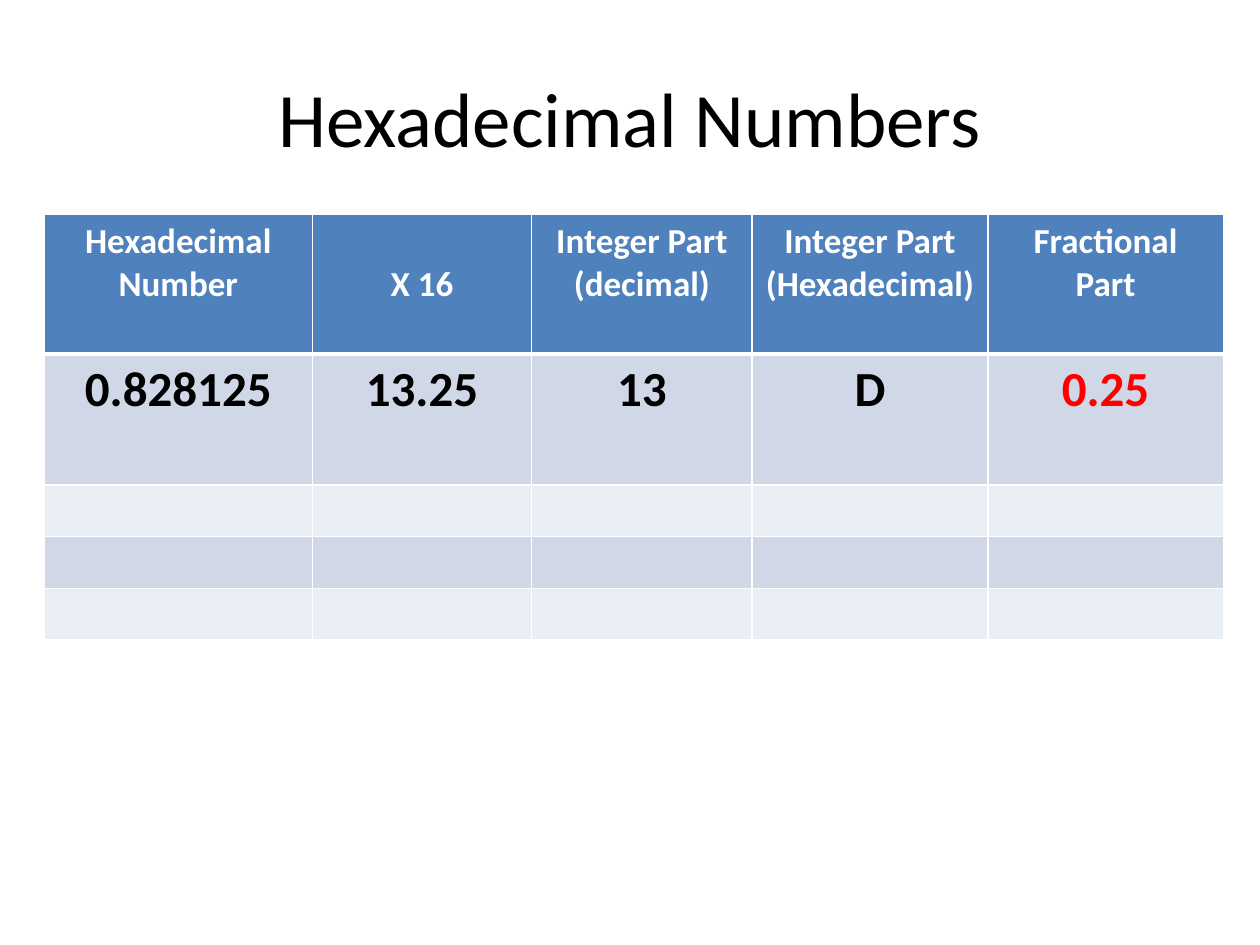
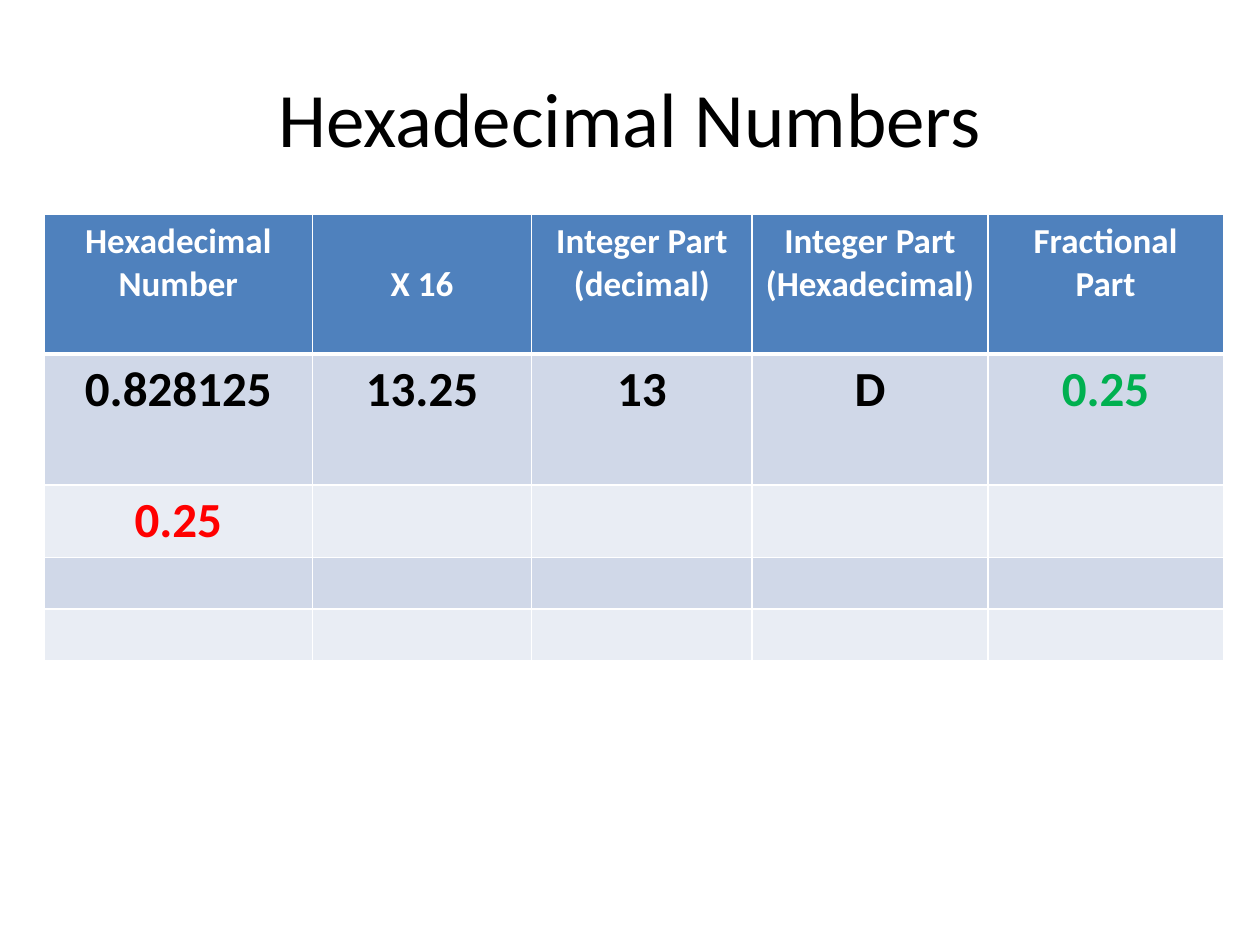
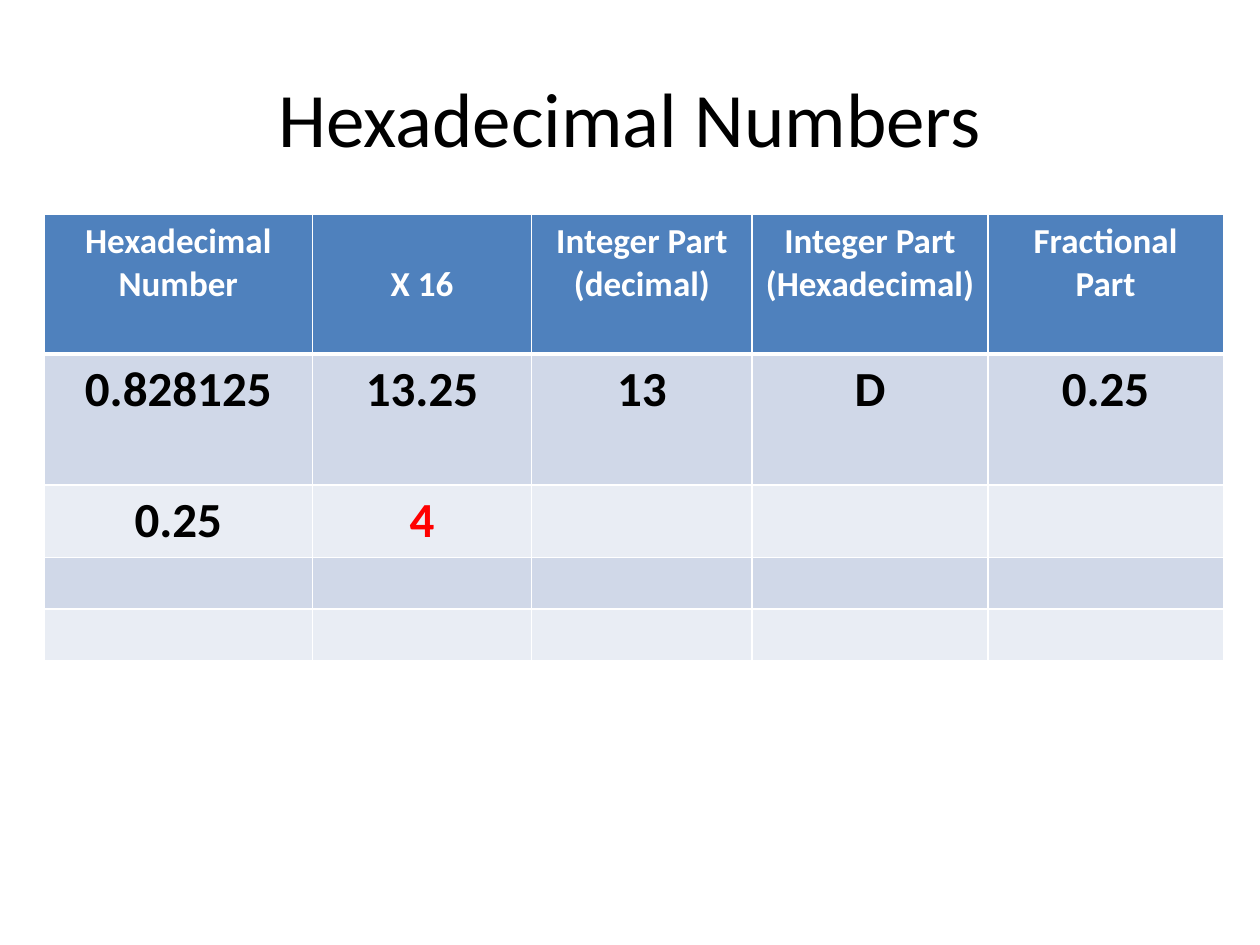
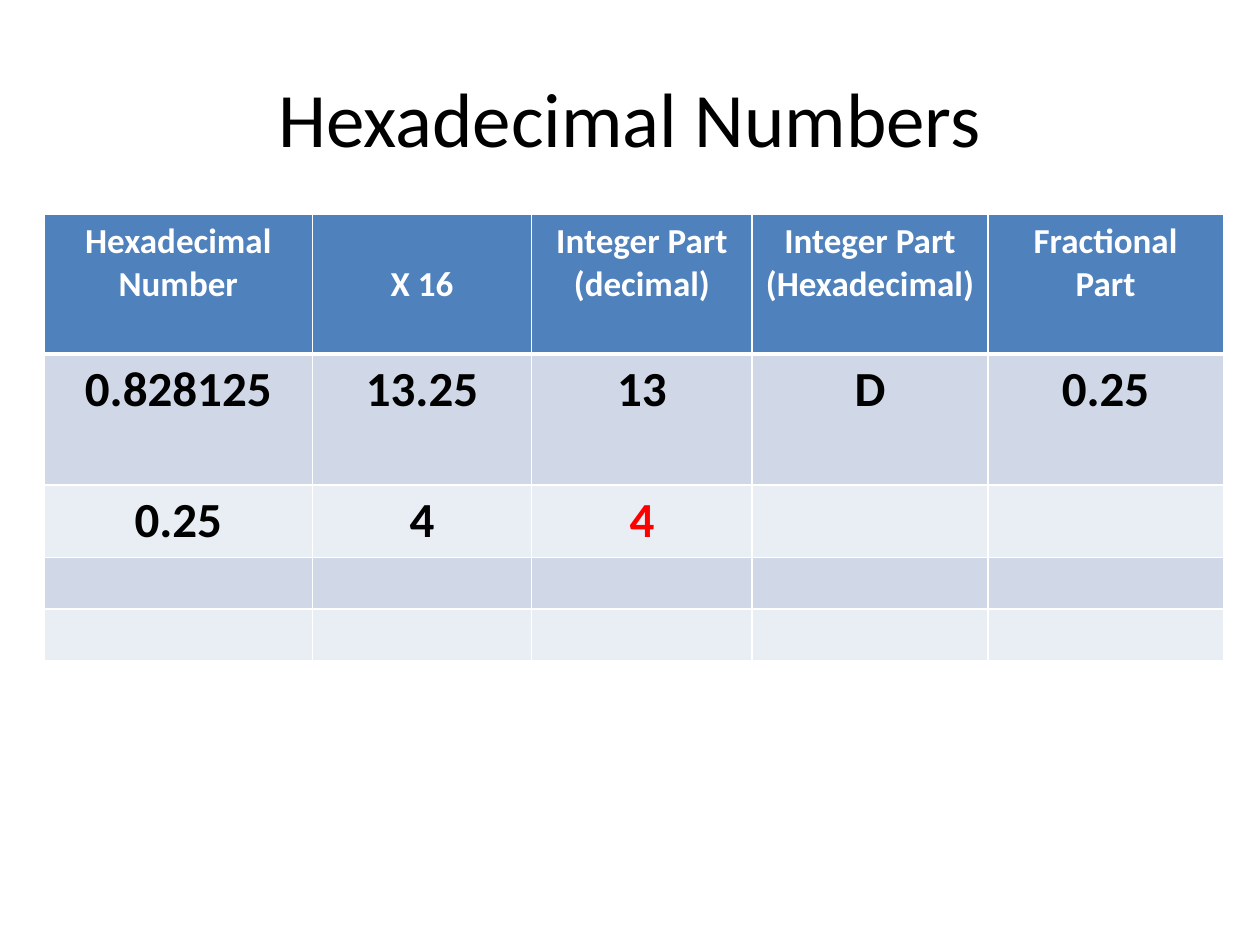
from lxml.etree import SubElement
from pptx import Presentation
from pptx.dml.color import RGBColor
from pptx.enum.text import MSO_ANCHOR, PP_ALIGN
from pptx.oxml.ns import qn
from pptx.util import Inches, Pt

TITLE = "Hexadecimal Numbers"
HEADINGS = [
    ["Hexadecimal", "Number"],
    ["X 16"],
    ["Integer Part", "(decimal)"],
    ["Integer Part", "(Hexadecimal)"],
    ["Fractional", "Part"],
]
FIRST_STEP = ["0.828125", "13.25", "13", "D", "0.25"]
SECOND_STEP = ["0.25", "4", "4"]
STAGES = [
    {"second_count": 0, "highlights": {(1, 4): "new"}},
    {"second_count": 1, "highlights": {(1, 4): "carried", (2, 0): "new"}},
    {"second_count": 2, "highlights": {(2, 1): "new"}},
    {"second_count": 3, "highlights": {(2, 2): "new"}},
]

COLORS = {
    "text": "000000",
    "grid": "FFFFFF",
    "heading": "4F81BD",
    "odd": "D0D8E8",
    "even": "E9EDF4",
    "new": "FF0000",
    "carried": "00B050",
}
FONT = "Calibri"
COLUMN_WIDTHS = [2.13, 1.74, 1.75, 1.87, 1.87]
HEADING_HEIGHT, FIRST_HEIGHT, FILLED_HEIGHT, EMPTY_HEIGHT = 1.11, 1.04, 0.57, 0.41
ROW_COUNT = 5
TABLE_LEFT, TABLE_TOP = 0.35, 1.7
CELL_MARGIN, HEADING_LINE = 0.05, 0.34


def write(frame, lines, size=28, color="text", bold=True):
    for index, line in enumerate(lines):
        paragraph = frame.add_paragraph() if index else frame.paragraphs[0]
        paragraph.alignment = PP_ALIGN.CENTER
        run = paragraph.add_run()
        run.text = line
        run.font.name = FONT
        run.font.size = Pt(size)
        run.font.bold = bold
        run.font.color.rgb = RGBColor.from_string(COLORS[color])


def draw_borders(cell, row):
    properties = cell._tc.get_or_add_tcPr()
    widths = {"L": 1, "R": 1, "T": 3 if row == 1 else 1, "B": 3 if row == 0 else 1}
    for side, width in widths.items():
        border = SubElement(properties, qn(f"a:ln{side}"), w=str(Pt(width)))
        fill = SubElement(border, qn("a:solidFill"))
        SubElement(fill, qn("a:srgbClr"), val=COLORS["grid"])


def add_title(slide):
    title = slide.shapes.title
    title.left, title.top = Inches(0.5), Inches(0.3)
    title.width, title.height = Inches(9), Inches(1.25)
    title.text_frame.vertical_anchor = MSO_ANCHOR.MIDDLE
    write(title.text_frame, [TITLE], size=44, bold=False)


def add_conversion(slide, second_count, highlights):
    second_height = FILLED_HEIGHT if second_count else EMPTY_HEIGHT
    heights = [HEADING_HEIGHT, FIRST_HEIGHT, second_height, EMPTY_HEIGHT, EMPTY_HEIGHT]
    steps = {1: FIRST_STEP, 2: SECOND_STEP[:second_count]}
    table = slide.shapes.add_table(
        ROW_COUNT, len(HEADINGS), Inches(TABLE_LEFT), Inches(TABLE_TOP),
        Inches(sum(COLUMN_WIDTHS)), Inches(sum(heights)),
    ).table
    for column, width in zip(table.columns, COLUMN_WIDTHS):
        column.width = Inches(width)
    for row, height in enumerate(heights):
        table.rows[row].height = Inches(height)
        values = steps.get(row, [])
        band = "heading" if row == 0 else "odd" if row % 2 else "even"
        for column, heading in enumerate(HEADINGS):
            cell = table.cell(row, column)
            draw_borders(cell, row)
            cell.fill.solid()
            cell.fill.fore_color.rgb = RGBColor.from_string(COLORS[band])
            if row == 0:
                skipped_lines = 2 - len(heading)
                cell.margin_top = Inches(CELL_MARGIN + HEADING_LINE * skipped_lines)
                write(cell.text_frame, heading, size=20, color="grid")
            elif column < len(values):
                color = highlights.get((row, column), "text")
                write(cell.text_frame, [values[column]], color=color)


deck = Presentation()
deck.slide_width, deck.slide_height = Inches(10), Inches(7.5)
for stage in STAGES:
    slide = deck.slides.add_slide(deck.slide_layouts[5])
    add_title(slide)
    add_conversion(slide, **stage)
deck.save("out.pptx")
